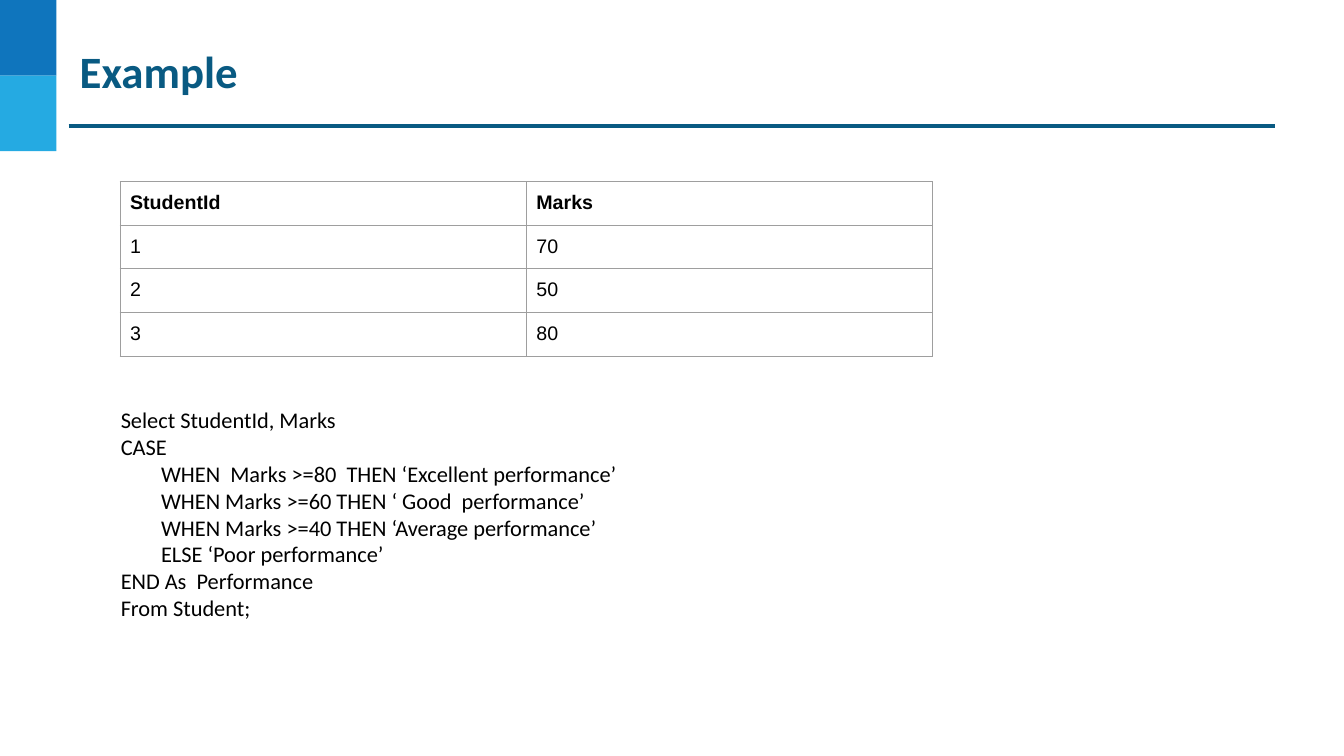
"""Build the slide showing a marks table and a CASE query."""
import dataclasses

import lxml.etree
import pptx
import pptx.dml.color
import pptx.enum.shapes
import pptx.enum.text
import pptx.oxml.ns
import pptx.util


@dataclasses.dataclass(frozen=True)
class Theme:
    heading: str = "095A82"
    dark_block: str = "0F75BD"
    light_block: str = "25AAE2"
    border: str = "9E9E9E"
    text: str = "000000"
    body_font: str = "Calibri"
    table_font: str = "Arial"
    title_size: int = 32
    code_size: int = 16
    table_size: int = 14
    rule_width: float = 2.25
    border_width: float = 0.75


class SlideBuilder:
    def __init__(self, presentation, theme):
        self.theme = theme
        self.column = presentation.slide_width / 100
        self.row = presentation.slide_height / 100
        self.slide = presentation.slides.add_slide(presentation.slide_layouts[6])

    def place(self, left, top, width, height):
        return (round(left * self.column), round(top * self.row),
                round(width * self.column), round(height * self.row))

    def style(self, text_frame, font_name, size, color, bold=False):
        for paragraph in text_frame.paragraphs:
            for run in paragraph.runs:
                run.font.name = font_name
                run.font.size = pptx.util.Pt(size)
                run.font.bold = bold
                run.font.color.rgb = pptx.dml.color.RGBColor.from_string(color)

    def block(self, left, top, width, height, color):
        shape = self.slide.shapes.add_shape(
            pptx.enum.shapes.MSO_SHAPE.RECTANGLE, *self.place(left, top, width, height))
        shape.shadow.inherit = False
        shape.fill.solid()
        shape.fill.fore_color.rgb = pptx.dml.color.RGBColor.from_string(color)
        shape.line.fill.background()

    def rule(self, left, right, top):
        start_x, y, end_x, _ = self.place(left, top, right, 0)
        connector = self.slide.shapes.add_connector(
            pptx.enum.shapes.MSO_CONNECTOR.STRAIGHT, start_x, y, end_x, y)
        connector.line.color.rgb = pptx.dml.color.RGBColor.from_string(self.theme.heading)
        connector.line.width = pptx.util.Pt(self.theme.rule_width)
        lxml.etree.SubElement(connector._element.spPr, pptx.oxml.ns.qn("a:effectLst"))

    def text(self, position, text, inset, size, color, bold=False):
        shape = self.slide.shapes.add_textbox(*self.place(*position))
        text_frame = shape.text_frame
        text_frame.word_wrap = True
        text_frame.vertical_anchor = pptx.enum.text.MSO_ANCHOR.TOP
        for side in ("left", "top", "right", "bottom"):
            setattr(text_frame, f"margin_{side}", pptx.util.Inches(inset))
        text_frame.text = text
        self.style(text_frame, self.theme.body_font, size, color, bold)

    def border(self, cell):
        properties = cell._tc.get_or_add_tcPr()
        for side in ("L", "R", "T", "B"):
            line = lxml.etree.SubElement(properties, pptx.oxml.ns.qn(f"a:ln{side}"))
            line.set("w", str(pptx.util.Pt(self.theme.border_width)))
            fill = lxml.etree.SubElement(line, pptx.oxml.ns.qn("a:solidFill"))
            lxml.etree.SubElement(fill, pptx.oxml.ns.qn("a:srgbClr"), val=self.theme.border)

    def table(self, left, top, width, row_height, records):
        position = self.place(left, top, width, row_height * len(records))
        table = self.slide.shapes.add_table(len(records), len(records[0]), *position).table
        table.first_row = False
        table.horz_banding = False
        for row_index, record in enumerate(records):
            for column_index, value in enumerate(record):
                cell = table.cell(row_index, column_index)
                for side in ("left", "top", "right", "bottom"):
                    setattr(cell, f"margin_{side}", pptx.util.Inches(0.1))
                cell.text_frame.text = value
                self.style(cell.text_frame, self.theme.table_font, self.theme.table_size,
                           self.theme.text, bold=row_index == 0)
                self.border(cell)
                cell.fill.background()


MARKS = [("StudentId", "Marks"), ("1", "70"), ("2", "50"), ("3", "80")]

QUERY = """Select StudentId, Marks
CASE
        WHEN  Marks >=80  THEN ‘Excellent performance’
        WHEN Marks >=60 THEN ‘ Good  performance’
        WHEN Marks >=40 THEN ‘Average performance’
        ELSE ‘Poor performance’
END As  Performance
From Student;"""


def main():
    presentation = pptx.Presentation()
    presentation.slide_width = pptx.util.Inches(13.33)
    presentation.slide_height = pptx.util.Inches(7.5)
    theme = Theme()
    builder = SlideBuilder(presentation, theme)
    for index, color in enumerate((theme.dark_block, theme.light_block)):
        builder.block(0, index * 10, 4.2, 10, color)
    builder.rule(5.1, 94.9, 16.67)
    builder.text((5.78, 5.47, 89.8, 7.73), "Example", 0.02,
                 theme.title_size, theme.heading, bold=True)
    builder.table(8.93, 24, 60.46, 5.78, MARKS)
    builder.text((8.25, 52.4, 63.3, 31.47), QUERY, 0.1, theme.code_size, theme.text)
    presentation.save("out.pptx")


if __name__ == "__main__":
    main()
